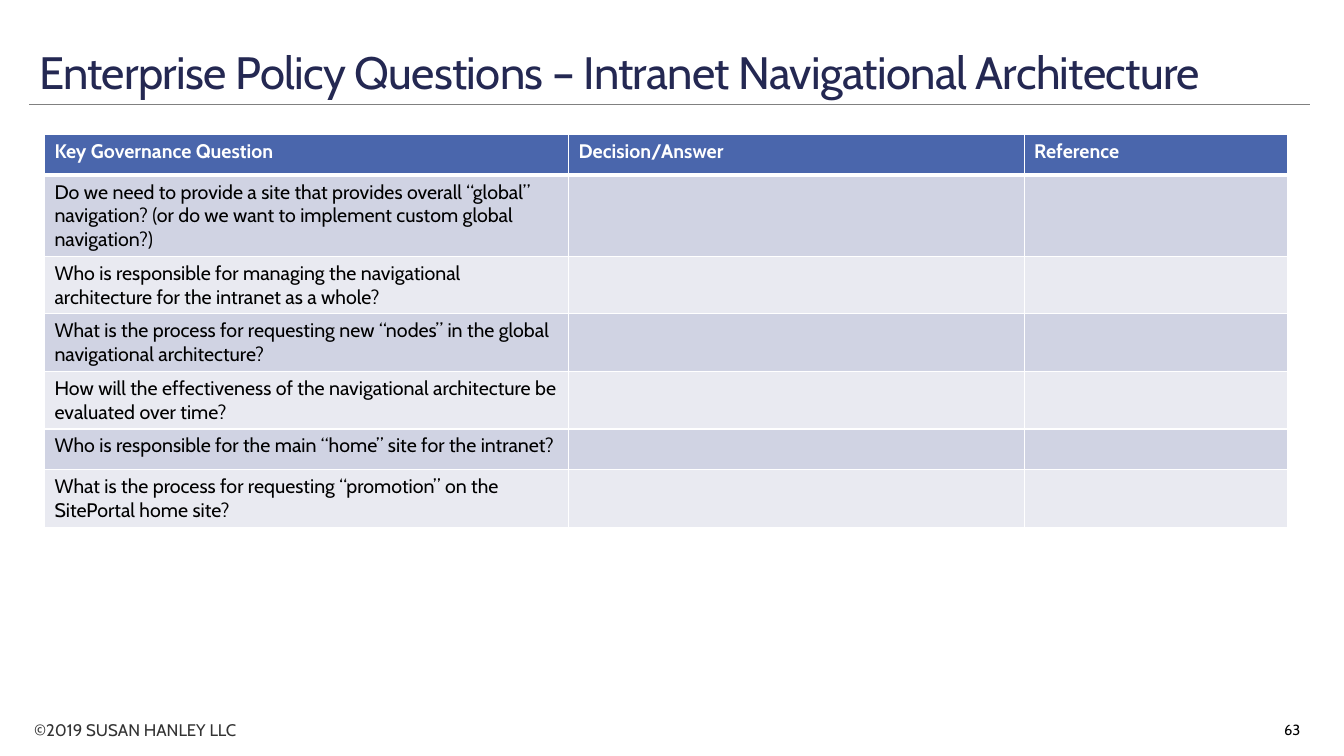
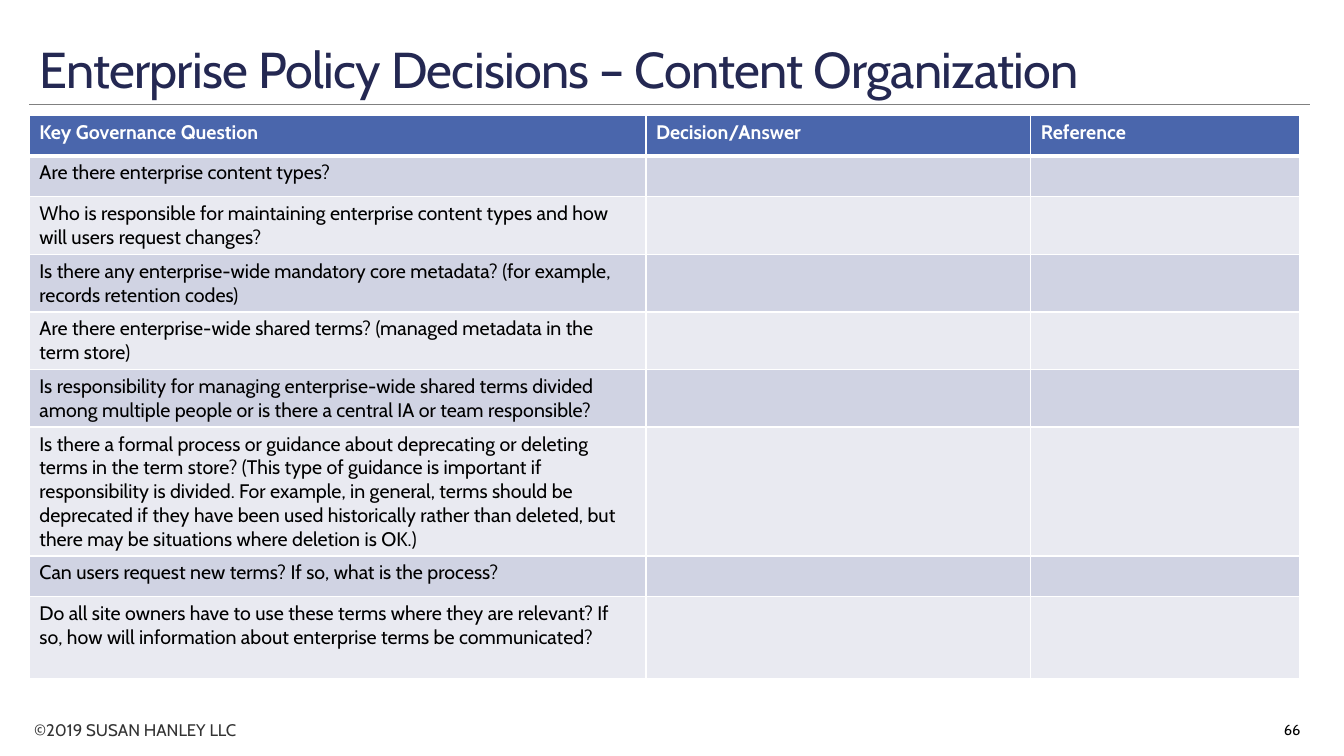
from dataclasses import dataclass

from lxml.etree import SubElement
from pptx import Presentation
from pptx.dml.color import RGBColor
from pptx.enum.shapes import MSO_CONNECTOR as Connector
from pptx.enum.text import MSO_ANCHOR as Anchor, PP_ALIGN as Align
from pptx.oxml.ns import qn
from pptx.util import Cm, Pt


@dataclass(frozen=True)
class Theme:
    font: str = "Cabin"
    title: str = "242852"
    rule: str = "808080"
    footer: str = "333333"
    text: str = "000000"
    white: str = "FFFFFF"
    header: str = "4A66AC"
    bands: tuple = ("D0D3E3", "E9EAF1")
    title_size: float = 36
    footer_size: float = 12
    number_size: float = 10.5
    table_size: float = 14
    border: float = 1
    header_border: float = 3


class Deck:
    """Holds the style and the slide being built."""

    def __init__(self, theme):
        self.theme = theme
        self.presentation = Presentation()
        self.presentation.slide_width = Cm(33.87)
        self.presentation.slide_height = Cm(19.05)
        self.slide = None

    def add_slide(self, title, number, title_size=None):
        theme = self.theme
        layout = self.presentation.slide_layouts[6]
        self.slide = self.presentation.slides.add_slide(layout)
        self.rule(0.74, 33.02, 2.62)
        self.text("©2019 SUSAN HANLEY LLC", (0.61, 18.01, 7.14, 0.76),
                  theme.footer_size, theme.footer)
        heading = self.text(title, (0.74, 0.48, 32.28, 2.13),
                            title_size or theme.title_size, theme.title,
                            Anchor.BOTTOM)
        heading.line_spacing = 0.85
        heading.runs[0].font._element.set("spc", "-50")
        page = self.text(number, (29.39, 17.88, 3.63, 1.02),
                         theme.number_size, theme.text, Anchor.MIDDLE)
        page.alignment = Align.RIGHT

    def rule(self, left, right, top):
        line = self.slide.shapes.add_connector(
            Connector.STRAIGHT, Cm(left), Cm(top), Cm(right), Cm(top))
        line.line.color.rgb = RGBColor.from_string(self.theme.rule)
        line.line.width = Pt(0.5)
        SubElement(line._element.spPr, qn("a:effectLst"))

    def text(self, words, box, size, color, anchor=Anchor.TOP):
        shape = self.slide.shapes.add_textbox(*(Cm(length) for length in box))
        frame = shape.text_frame
        frame.word_wrap = True
        frame.vertical_anchor = anchor
        paragraph = frame.paragraphs[0]
        self.run(paragraph, words, size, color)
        return paragraph

    def run(self, paragraph, words, size, color, bold=False):
        run = paragraph.add_run()
        run.text = words
        run.font.name = self.theme.font
        run.font.size = Pt(size)
        run.font.bold = bold
        run.font.color.rgb = RGBColor.from_string(color)

    def borders(self, cell, top, bottom):
        """Draw white cell edges; they must precede the cell's fill."""
        properties = cell._tc.get_or_add_tcPr()
        side = self.theme.border
        for edge, width in zip("LRTB", (side, side, top, bottom)):
            line = SubElement(properties, qn(f"a:ln{edge}"), w=str(Pt(width)))
            fill = SubElement(line, qn("a:solidFill"))
            SubElement(fill, qn("a:srgbClr"), val=self.theme.white)

    def question_table(self, left, top, widths, questions):
        """Each question comes with its row height in text lines."""
        theme = self.theme
        headings = ("Key Governance Question", "Decision/Answer", "Reference")
        rows = [(headings, 1)]
        rows += [((question,), lines) for question, lines in questions]
        table = self.slide.shapes.add_table(
            len(rows), len(widths), Cm(left), Cm(top),
            Cm(sum(widths)), Cm(len(rows))).table
        table.horz_banding = False
        for column, width in zip(table.columns, widths):
            column.width = Cm(width)

        for index, (words, lines) in enumerate(rows):
            is_header = index == 0
            table.rows[index].height = Cm(max(1.03, 0.25 + 0.6 * lines))
            fill = theme.header if is_header else theme.bands[(index - 1) % 2]
            color = theme.white if is_header else theme.text
            top_edge = theme.header_border if index == 1 else theme.border
            bottom_edge = theme.header_border if is_header else theme.border
            for cell in table.rows[index].cells:
                self.borders(cell, top_edge, bottom_edge)
                cell.fill.solid()
                cell.fill.fore_color.rgb = RGBColor.from_string(fill)
            for cell, content in zip(table.rows[index].cells, words):
                self.run(cell.text_frame.paragraphs[0], content,
                         theme.table_size, color, is_header)


NAVIGATION = [
    ("Do we need to provide a site that provides overall “global” navigation? "
     "(or do we want to implement custom global navigation?)", 3),
    ("Who is responsible for managing the navigational architecture for the "
     "intranet as a whole?", 2),
    ("What is the process for requesting new “nodes” in the global "
     "navigational architecture?", 2),
    ("How will the effectiveness of the navigational architecture be "
     "evaluated over time?", 2),
    ("Who is responsible for the main “home” site for the intranet?", 1),
    ("What is the process for requesting “promotion” on the SitePortal "
     "home site?", 2),
]

CONTENT = [
    ("Are there enterprise content types?", 1),
    ("Who is responsible for maintaining enterprise content types and how "
     "will users request changes?", 2),
    ("Is there any enterprise-wide mandatory core metadata? (for example, "
     "records retention codes)", 2),
    ("Are there enterprise-wide shared terms? (managed metadata in the term "
     "store)", 2),
    ("Is responsibility for managing enterprise-wide shared terms divided "
     "among multiple people or is there a central IA or team responsible?", 2),
    ("Is there a formal process or guidance about deprecating or deleting "
     "terms in the term store? (This type of guidance is important if "
     "responsibility is divided. For example, in general, terms should be "
     "deprecated if they have been used historically rather than deleted, "
     "but there may be situations where deletion is OK.)", 5),
    ("Can users request new terms? If so, what is the process?", 1),
    ("Do all site owners have to use these terms where they are relevant? If "
     "so, how will information about enterprise terms be communicated?", 3),
]


def main():
    deck = Deck(Theme())

    # Navigational architecture
    deck.add_slide("Enterprise Policy Questions – Intranet Navigational "
                   "Architecture", "63", title_size=32.4)
    deck.question_table(1.12, 3.38, (13.21, 11.48, 6.63), NAVIGATION)

    # Content organization
    deck.add_slide("Enterprise Policy Decisions – Content Organization", "66")
    deck.question_table(0.74, 2.9, (15.54, 9.7, 6.78), CONTENT)

    deck.presentation.save("out.pptx")


if __name__ == "__main__":
    main()
